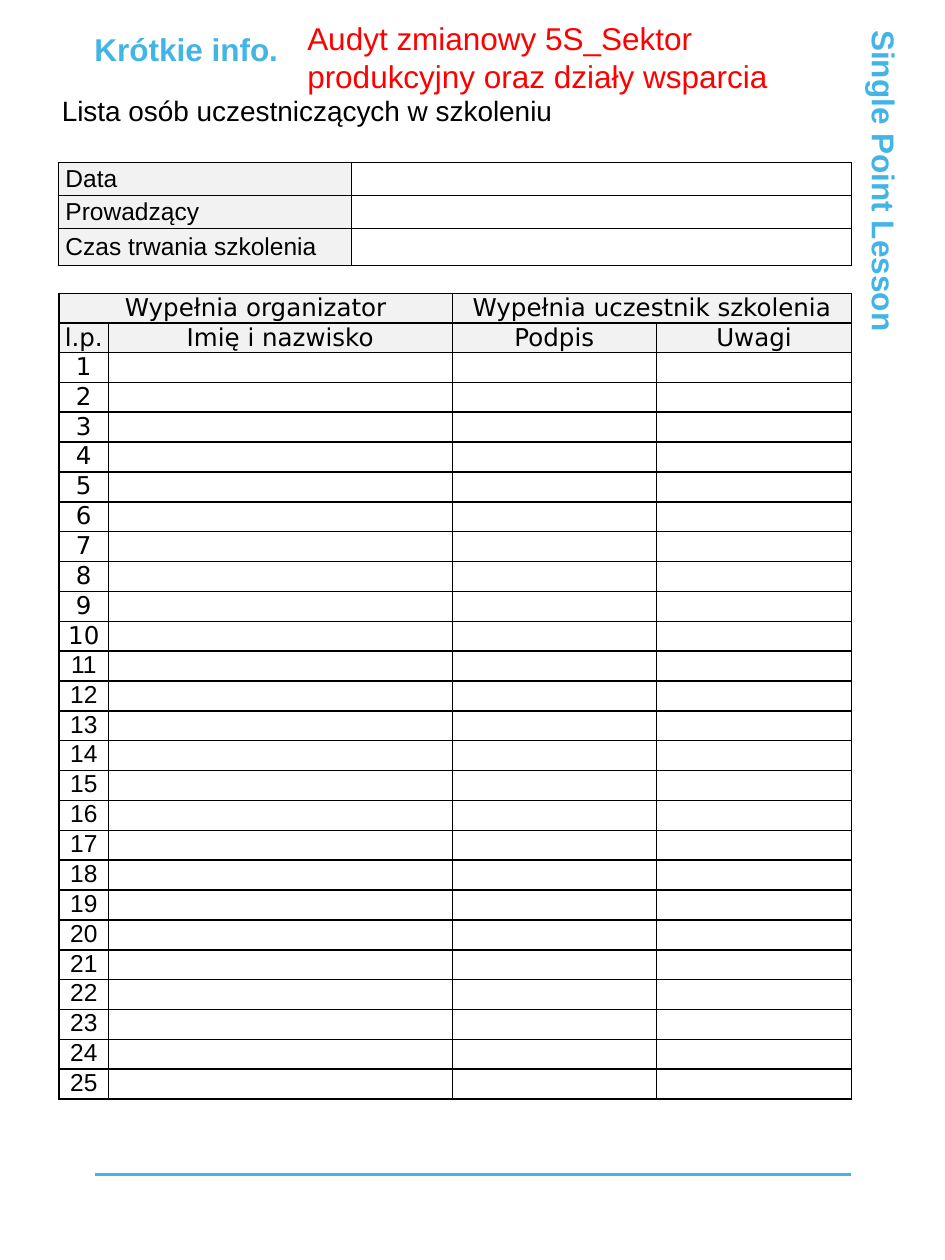
from pptx import Presentation
from pptx.dml.color import RGBColor
from pptx.enum.shapes import MSO_CONNECTOR, MSO_SHAPE
from pptx.enum.text import MSO_ANCHOR as ANCHOR, MSO_AUTO_SIZE as AUTO, PP_ALIGN as ALIGN
from pptx.oxml.xmlchemy import OxmlElement
from pptx.util import Inches, Pt

BLUE = RGBColor(0x42, 0xB4, 0xE6)
RED = RGBColor(0xFF, 0, 0)
BLACK = RGBColor(0, 0, 0)
WHITE = RGBColor(0xFF, 0xFF, 0xFF)
GRAY = RGBColor(0xF2, 0xF2, 0xF2)
ARIAL, DEJAVU = "Arial", "DejaVu Sans"

# Content
TITLE = "Lista osób uczestniczących w szkoleniu"
TOPIC = "Audyt zmianowy 5S_Sektor produkcyjny oraz działy wsparcia"
HEADING = "Krótkie info."
SIDE_LABEL = "Single Point Lesson"
DETAILS = ["Data", "Prowadzący", "Czas trwania szkolenia"]
GROUPS = ["Wypełnia organizator", "Wypełnia uczestnik szkolenia"]
COLUMNS = ["l.p.", "Imię i nazwisko", "Podpis", "Uwagi"]
PEOPLE = 25
DEJAVU_ROWS = 10  # numbers up to this one use the header font


def write(tf, text, size, color, name=ARIAL, bold=False, inset=0):
    tf.word_wrap, tf.auto_size, tf.vertical_anchor = True, AUTO.NONE, ANCHOR.TOP
    tf.margin_left = tf.margin_right = Inches(inset)
    tf.margin_top = tf.margin_bottom = Inches(inset / 2)
    p = tf.paragraphs[0]
    p.alignment = ALIGN.LEFT
    r = p.add_run()
    r.text = text
    for key, value in dict(size=Pt(size), name=name, bold=bold).items():
        setattr(r.font, key, value)
    r.font.color.rgb = color


def format_cell(cell, text, name, align, anchor, inset, border, shaded):
    cell.margin_left = cell.margin_right = Inches(inset)
    cell.margin_top = cell.margin_bottom = 0
    cell.vertical_anchor = anchor
    p = cell.text_frame.paragraphs[0]
    p.alignment = align
    if text:
        r = p.add_run()
        r.text = text
        r.font.size, r.font.name = Pt(14), name
        r.font.color.rgb = BLACK
    else:
        end = OxmlElement("a:endParaRPr")
        end.set("sz", "1400")
        p._p.append(end)
    tc_pr = cell._tc.get_or_add_tcPr()
    for side in "LRTB":
        ln = OxmlElement("a:ln" + side)
        ln.set("w", str(Pt(border)))
        fill = OxmlElement("a:solidFill")
        color = OxmlElement("a:srgbClr")
        color.set("val", str(BLACK))
        fill.append(color)
        ln.append(fill)
        tc_pr.append(ln)
    if shaded:
        cell.fill.solid()
        cell.fill.fore_color.rgb = GRAY
    else:
        cell.fill.background()


def add_table(left, top, widths, heights):
    box = [Inches(v) for v in (left, top, sum(widths), sum(heights))]
    table = s.shapes.add_table(len(heights), len(widths), *box).table
    table.first_row = table.horz_banding = False
    for col, width in zip(table.columns, widths):
        col.width = Inches(width)
    for row, height in zip(table.rows, heights):
        row.height = Inches(height)
    return table


prs = Presentation()
prs.slide_width, prs.slide_height = Inches(7.5), Inches(10)
s = prs.slides.add_slide(prs.slide_layouts[5])

# Title and header texts
title = s.shapes.title
title.left, title.top, title.width, title.height = map(Inches, (0.49, 0.74, 6.1, 0.37))
write(title.text_frame, TITLE, 16, BLACK)

heading = s.shapes.add_textbox(*map(Inches, (0.75, 0.24, 2.76, 0.3)))
write(heading.text_frame, HEADING, 18, BLUE, bold=True)

topic = s.shapes.add_textbox(*map(Inches, (2.34, 0.1, 4.55, 0.71)))
write(topic.text_frame, TOPIC, 18, RED, inset=0.1)

# Vertical label on the right edge
side = s.shapes.add_shape(MSO_SHAPE.RECTANGLE, *map(Inches, (4.11, 3, 5.82, 0.3)))
side.rotation = 90
side.shadow.inherit = False
side.fill.solid()
side.fill.fore_color.rgb = WHITE
side.line.fill.background()
write(side.text_frame, SIDE_LABEL, 18, BLUE, bold=True)

# Footer rule
rule = s.shapes.add_connector(MSO_CONNECTOR.STRAIGHT, *map(Inches, (0.75, 9.32, 6.75, 9.32)))
rule.line.color.rgb, rule.line.width = BLUE, Pt(1.5)
rule._element.spPr.append(OxmlElement("a:effectLst"))

# Training details
details = add_table(0.46, 1.29, [2.33, 3.97], [0.26, 0.26, 0.3])
for i, label in enumerate(DETAILS):
    for j, text in enumerate([label, ""]):
        format_cell(details.cell(i, j), text, ARIAL, ALIGN.LEFT, ANCHOR.MIDDLE,
                    0.06, 0.5, shaded=j == 0)

# Attendance list
rows = [[GROUPS[0], "", GROUPS[1], ""], COLUMNS]
rows += [[str(n), "", "", ""] for n in range(1, PEOPLE + 1)]
people = add_table(0.47, 2.33, [0.39, 2.73, 1.62, 1.55], [6.32 / len(rows)] * len(rows))
for i, row in enumerate(rows):
    header = i < 2
    name = DEJAVU if i < 2 + DEJAVU_ROWS else ARIAL
    for j, text in enumerate(row):
        format_cell(people.cell(i, j), text, name, ALIGN.CENTER,
                    ANCHOR.MIDDLE if header else ANCHOR.TOP, 0.04, 1, shaded=header)
for j in (0, 2):
    people.cell(0, j).merge(people.cell(0, j + 1))

prs.save("out.pptx")
